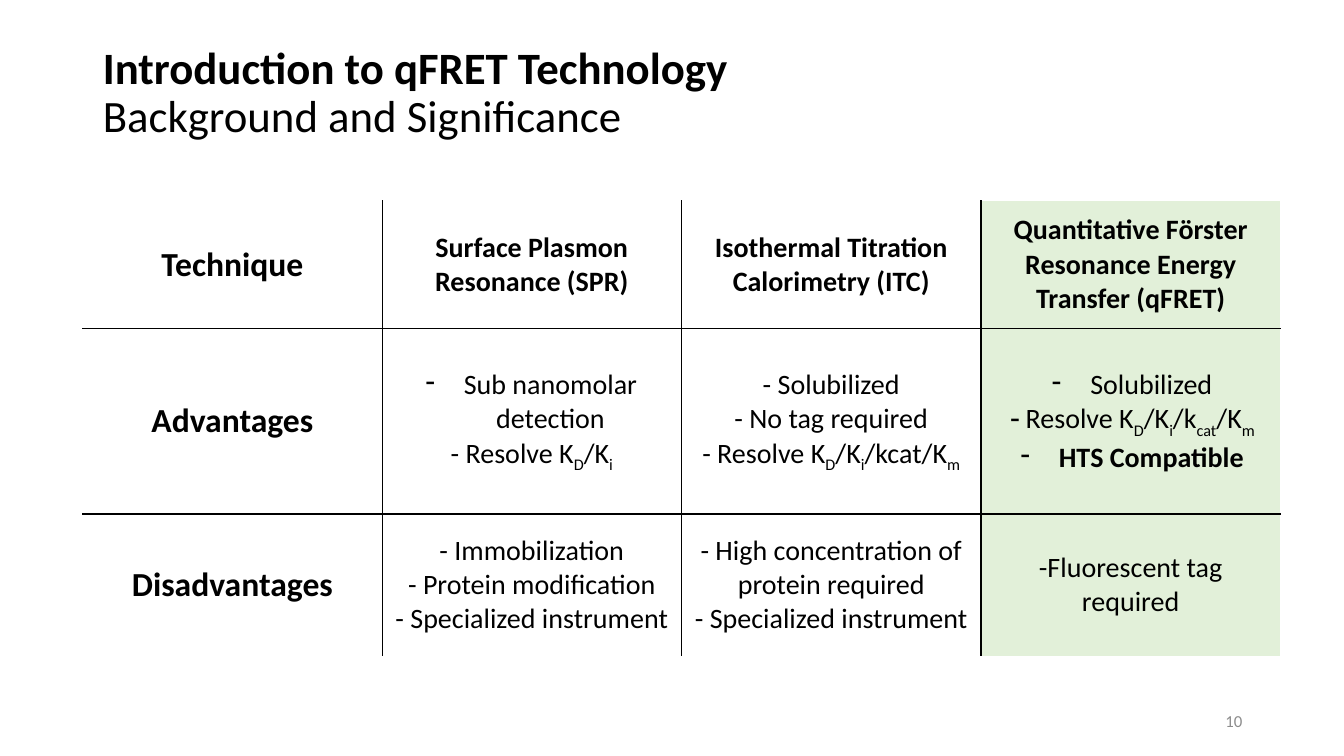
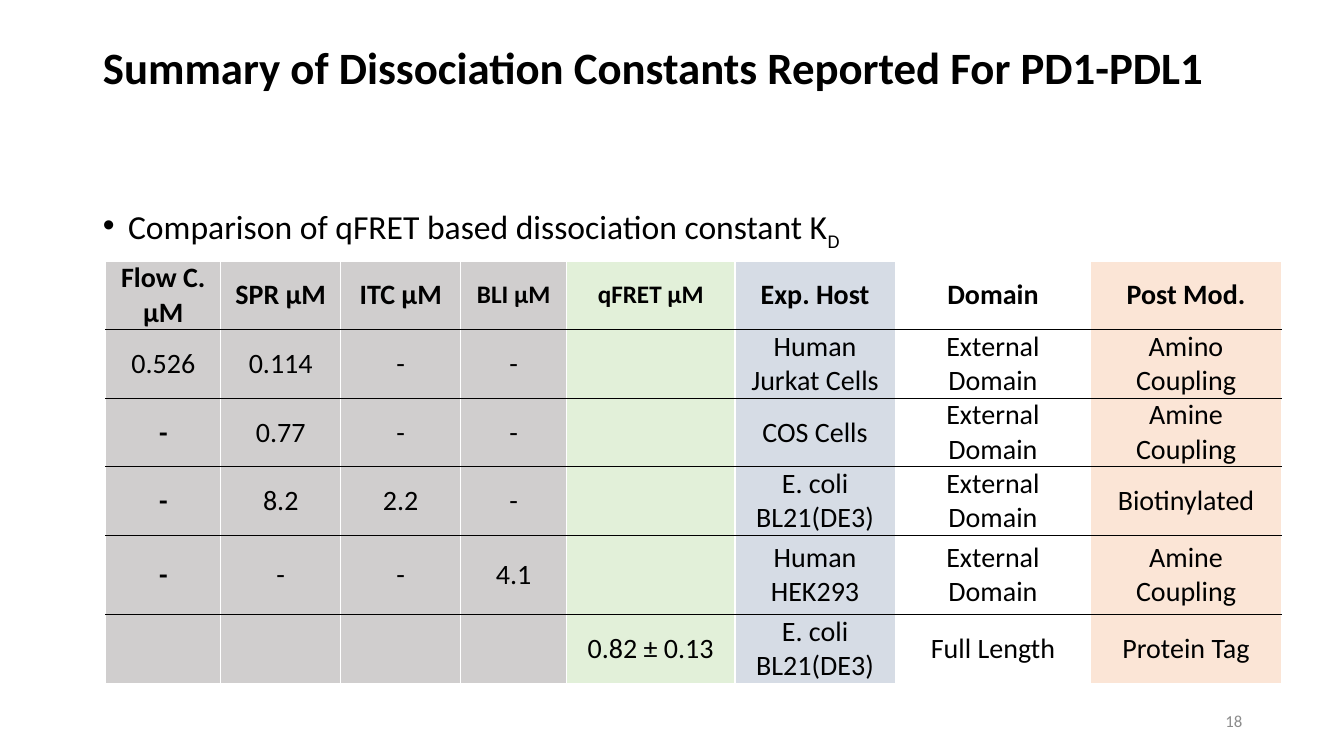
"""Build two slides that compare binding assay techniques and constants."""
import dataclasses

import pptx
import pptx.dml.color
import pptx.enum.text
import pptx.oxml
import pptx.oxml.ns
import pptx.util

Inches = pptx.util.Inches
Align = pptx.enum.text.PP_ALIGN
Anchor = pptx.enum.text.MSO_ANCHOR


@dataclasses.dataclass(frozen=True)
class Theme:
    font: str = "Calibri"
    black: str = "000000"
    white: str = "FFFFFF"
    muted: str = "8C8C8C"
    grey: str = "D0CECE"
    green: str = "E2F0D9"
    blue: str = "D6DCE5"
    peach: str = "FBE5D6"
    title_size: int = 32
    lead_size: int = 24
    text_size: int = 20
    small_size: int = 18
    number_size: int = 12


@dataclasses.dataclass(frozen=True)
class Line:
    text: str
    bold: bool = False
    left: float = 0
    hang: float = 0
    bullet: str = ""


def apply(target, values):
    for name, value in values.items():
        setattr(target, name, value)


def rgb(colour):
    return pptx.dml.color.RGBColor.from_string(colour)


class Deck:
    def __init__(self, theme):
        self.theme = theme
        self.deck = pptx.Presentation()
        apply(self.deck, {"slide_width": Inches(13.33), "slide_height": Inches(7.5)})
        self.page = None

    def add_page(self, layout, number):
        self.page = self.deck.slides.add_slide(self.deck.slide_layouts[layout])
        box = self.page.shapes.add_textbox(Inches(9.42), Inches(6.95), Inches(3), Inches(0.4))
        apply(box.text_frame, {"word_wrap": True, "vertical_anchor": Anchor.MIDDLE})
        para = box.text_frame.paragraphs[0]
        para.alignment = Align.RIGHT
        self.add_spans(para, str(number), self.theme.number_size, colour=self.theme.muted)

    def add_spans(self, para, text, size, bold=False, colour=None):
        for index, piece in enumerate(text.split("~")):
            if not piece:
                continue
            span = para.add_run()
            span.text = piece
            apply(span.font, {"name": self.theme.font, "size": pptx.util.Pt(size), "bold": bold})
            span.font.color.rgb = rgb(colour or self.theme.black)
            if index % 2:
                span.font._element.set("baseline", "-25000")

    def add_line(self, para, line, size, alignment):
        properties = para._p.get_or_add_pPr()
        properties.set("marL", str(Inches(line.left)))
        properties.set("indent", str(Inches(-line.hang)))
        if line.bullet:
            bullet = pptx.oxml.parse_xml(
                f'<a:buChar {pptx.oxml.ns.nsdecls("a")} char="{line.bullet}"/>'
            )
            properties.append(bullet)
        para.alignment = alignment
        self.add_spans(para, line.text, size, line.bold)

    def place(self, shape, top, height):
        apply(shape, {"left": Inches(0.92), "top": Inches(top),
                      "width": Inches(11.5), "height": Inches(height)})
        apply(shape.text_frame, {"word_wrap": True, "vertical_anchor": Anchor.TOP,
                                 "auto_size": pptx.enum.text.MSO_AUTO_SIZE.NONE})
        para = shape.text_frame.paragraphs[0]
        apply(para, {"line_spacing": 0.9, "space_before": pptx.util.Pt(0)})
        return para

    def add_title(self, heading, subtitle=""):
        para = self.place(self.page.shapes.title, 0.4, 1.45)
        para.alignment = Align.LEFT
        self.add_spans(para, heading, self.theme.title_size, bold=True)
        if subtitle:
            para.add_line_break()
            self.add_spans(para, subtitle, self.theme.title_size)

    def add_body(self, text):
        para = self.place(self.page.placeholders[1], 2, 4.76)
        line = Line(text, left=0.25, hang=0.25, bullet="•")
        self.add_line(para, line, self.theme.lead_size, Align.LEFT)

    def add_borders(self, cell, colours):
        properties = cell._tc.get_or_add_tcPr()
        for side, colour in colours.items():
            properties.append(pptx.oxml.parse_xml(
                f'<a:ln{side} {pptx.oxml.ns.nsdecls("a")} w="12700"><a:solidFill>'
                f'<a:srgbClr val="{colour}"/></a:solidFill></a:ln{side}>'
            ))

    def add_table(self, corner, widths, heights, rows, fills, vertical, margins, size_of):
        left, top = corner
        frame = self.page.shapes.add_table(
            len(rows), len(widths), Inches(left), Inches(top),
            Inches(sum(widths)), Inches(sum(heights)),
        )
        table = frame.table
        apply(table, {"first_row": False, "horz_banding": False})
        for column, width in zip(table.columns, widths):
            column.width = Inches(width)
        for row, height in zip(table.rows, heights):
            row.height = Inches(height)
        side, edge = margins
        white, black = self.theme.white, self.theme.black
        last_row, last_column = len(rows) - 1, len(widths) - 1
        for r, row in enumerate(rows):
            for c, content in enumerate(row):
                cell = table.cell(r, c)
                self.add_borders(cell, {
                    "L": vertical if c > 0 else white,
                    "R": vertical if c < last_column else white,
                    "T": black if r > 0 else white,
                    "B": black if r < last_row else white,
                })
                cell.fill.solid()
                cell.fill.fore_color.rgb = rgb(fills[c])
                apply(cell, {"vertical_anchor": Anchor.MIDDLE,
                             "margin_left": Inches(side), "margin_right": Inches(side),
                             "margin_top": Inches(edge), "margin_bottom": Inches(edge)})
                lines = content if isinstance(content, list) else [content]
                for index, line in enumerate(lines):
                    frame = cell.text_frame
                    para = frame.add_paragraph() if index else frame.paragraphs[0]
                    if isinstance(line, str):
                        line = Line(line, bold=r == 0 or line in BOLD_LABELS or (c == 0 and line == "-"))
                    self.add_line(para, line, size_of(r, c), Align.CENTER)


BOLD_LABELS = {"Advantages", "Disadvantages"}
TECHNIQUES = [
    ["Technique", "Surface Plasmon Resonance (SPR)", "Isothermal Titration Calorimetry (ITC)",
     "Quantitative Förster Resonance Energy Transfer (qFRET)"],
    ["Advantages",
     [Line("Sub nanomolar detection", left=0.37, hang=0.38, bullet="-"), "- Resolve K~D~/K~i~"],
     ["- Solubilized", "- No tag required", "- Resolve K~D~/K~i~/kcat/K~m~"],
     [Line("Solubilized", left=0.41, hang=0.38, bullet="-"),
      Line("Resolve K~D~/K~i~/k~cat~/K~m~", left=0.19, hang=0.15, bullet="-"),
      Line("HTS Compatible", bold=True, left=0.41, hang=0.38, bullet="-")]],
    ["Disadvantages",
     ["- Immobilization", "- Protein modification", "- Specialized instrument"],
     ["- High concentration of protein required", "- Specialized instrument"],
     "-Fluorescent tag required"],
]
CONSTANTS = [
    ["Flow C. µM", "SPR µM", "ITC µM", "BLI µM", "qFRET µM", "Exp. Host", "Domain", "Post Mod."],
    ["0.526", "0.114", "-", "-", "", "Human Jurkat Cells", "External Domain", "Amino Coupling"],
    ["-", "0.77", "-", "-", "", "COS Cells", "External Domain", "Amine Coupling"],
    ["-", "8.2", "2.2", "-", "", "E. coli BL21(DE3)", "External Domain", "Biotinylated"],
    ["-", "-", "-", "4.1", "", "Human HEK293", "External Domain", "Amine Coupling"],
    ["", "", "", "", "0.82 ± 0.13", "E. coli BL21(DE3)", "Full Length", "Protein Tag"],
]


def add_techniques(deck):
    theme = deck.theme
    deck.add_page(5, 10)
    deck.add_title("Introduction to qFRET Technology", "Background and Significance")
    deck.add_table(
        (0.82, 1.99), [2.97] * 4, [1.27, 1.84, 1.41], TECHNIQUES,
        [theme.white] * 3 + [theme.green], theme.black, (0.1, 0.05),
        lambda row, column: theme.text_size if column else theme.lead_size,
    )


def add_constants(deck):
    theme = deck.theme
    deck.add_page(1, 18)
    deck.add_title("Summary of Dissociation Constants Reported For PD1-PDL1")
    deck.add_body("Comparison of qFRET based dissociation constant K~D~")
    deck.add_table(
        (1.05, 2.59), [1.14, 1.19, 1.19, 1.05, 1.67, 1.59, 1.94, 1.89],
        [0.68] * 4 + [0.79, 0.68], CONSTANTS,
        [theme.grey] * 4 + [theme.green, theme.blue, theme.white, theme.peach],
        theme.white, (0.07, 0),
        lambda row, column: theme.small_size if row == 0 and column in (3, 4) else theme.text_size,
    )


def main():
    deck = Deck(Theme())
    add_techniques(deck)
    add_constants(deck)
    deck.deck.save("out.pptx")


if __name__ == "__main__":
    main()
